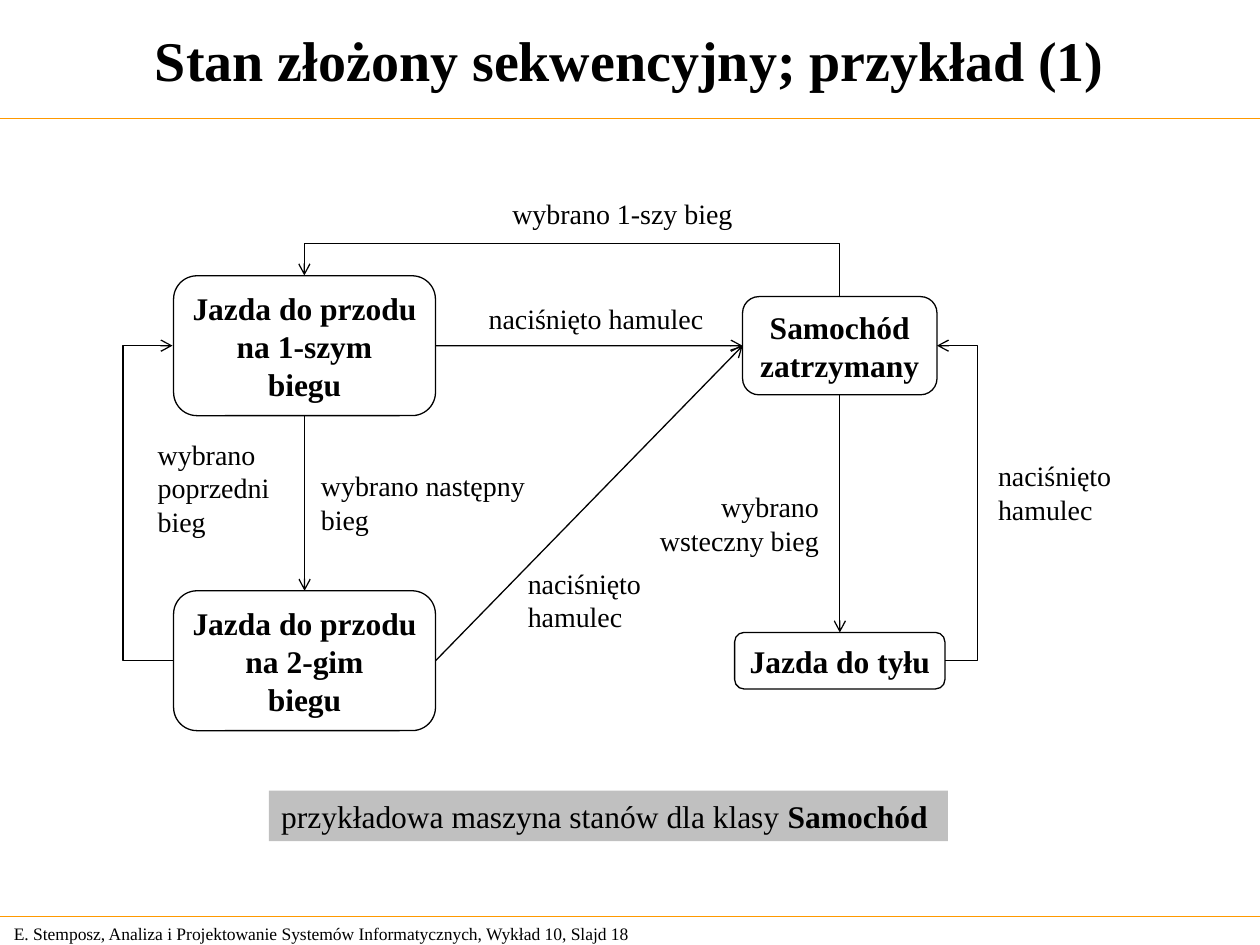
import lxml.etree
import pptx
import pptx.dml.color
import pptx.enum.shapes
import pptx.enum.text
import pptx.oxml.ns
import pptx.util

Cm = pptx.util.Cm
ALIGN = pptx.enum.text.PP_ALIGN
ANCHOR = pptx.enum.text.MSO_ANCHOR
SHAPE = pptx.enum.shapes.MSO_SHAPE
CONNECTOR = pptx.enum.shapes.MSO_CONNECTOR
qn = pptx.oxml.ns.qn
rgb = pptx.dml.color.RGBColor.from_string


def write(sp, text, size, bold=False, align=ALIGN.LEFT, anchor=ANCHOR.TOP):
    """Fill a shape with text, keeping a side margin only where the text is aligned."""
    tf = sp.text_frame
    tf.text = text
    tf.word_wrap = True
    tf.auto_size = pptx.enum.text.MSO_AUTO_SIZE.NONE
    tf.vertical_anchor = anchor
    tf.margin_left = Cm(0.25 if align == ALIGN.LEFT else 0)
    tf.margin_right = Cm(0.25 if align == ALIGN.RIGHT else 0)
    for p in tf.paragraphs:
        p.alignment = align
        for r in p.runs:
            r.font.name = "Times New Roman"
            r.font.size = pptx.util.Pt(size)
            r.font.bold = bold
            r.font.color.rgb = rgb("000000")


def add_line(kind, start, end, color="000000", arrow=True):
    line = s.shapes.add_connector(kind, *[Cm(v) for v in start + end])
    line.line.color.rgb = rgb(color)
    line.line.width = pptx.util.Pt(0.75)
    if arrow:
        ln = line.line._get_or_add_ln()
        lxml.etree.SubElement(ln, qn("a:tailEnd"), type="arrow")
    lxml.etree.SubElement(line._element.spPr, qn("a:effectLst"))
    return line


prs = pptx.Presentation()
prs.slide_width, prs.slide_height = Cm(25.4), Cm(19.05)
s = prs.slides.add_slide(prs.slide_layouts[5])

# Title, rules and footer
title = s.shapes.title
title.left, title.top, title.width, title.height = Cm(0.1), Cm(0.11), Cm(25.2), Cm(2.16)
write(title, "Stan złożony sekwencyjny; przykład (1)", 32, True, ALIGN.CENTER, ANCHOR.MIDDLE)
for y in (2.39, 18.48):
    add_line(CONNECTOR.STRAIGHT, (0, y), (25.4, y), "FF9900", arrow=False)
footer = s.shapes.add_textbox(Cm(0.03), Cm(18.48), Cm(13.31), Cm(0.69))
write(footer, "E. Stemposz, Analiza i Projektowanie Systemów Informatycznych, Wykład 10, Slajd 18",
      10, anchor=ANCHOR.MIDDLE)

# States
states = {}
for name, text, x, y, w, h in [
    ("first", "Jazda do przodu\nna 1-szym\nbiegu", 3.5, 5.56, 5.28, 2.82),
    ("second", "Jazda do przodu\nna 2-gim\nbiegu", 3.5, 11.91, 5.28, 2.82),
    ("reverse", "Jazda do tyłu", 14.81, 12.75, 4.24, 1.14),
    ("stopped", "Samochód\nzatrzymany", 14.97, 5.98, 3.92, 1.98),
]:
    sp = s.shapes.add_shape(SHAPE.ROUNDED_RECTANGLE, Cm(x), Cm(y), Cm(w), Cm(h))
    sp.shadow.inherit = False
    sp.fill.solid()
    sp.fill.fore_color.rgb = rgb("FFFFFF")
    sp.line.color.rgb = rgb("000000")
    sp.line.width = pptx.util.Pt(0.75)
    write(sp, text, 18, True, ALIGN.CENTER, ANCHOR.MIDDLE)
    states[name] = sp

# Straight transitions: state and side at each end
for source, source_side, target, target_side in [
    ("first", 3, "stopped", 1),
    ("first", 2, "second", 0),
    ("second", 3, "stopped", 1),
    ("stopped", 2, "reverse", 0),
]:
    line = add_line(CONNECTOR.STRAIGHT, (0, 0), (1, 1))
    line.begin_connect(states[source], source_side)
    line.end_connect(states[target], target_side)

# Elbow transitions: ends before rotation, bend as a share of the width, rotation
for start, end, bend, degrees in [
    ((11.32, 11.16), (11.74, 0.37), 2.52, 270),
    ((3.5, 13.32), (3.48, 6.97), 51, 0),
    ((19.05, 13.32), (18.89, 6.97), -4.12, 0),
]:
    line = add_line(CONNECTOR.ELBOW, start, end)
    spPr = line._element.spPr
    spPr.find(qn("a:xfrm")).set("rot", str(degrees * 60000))
    guides = spPr.find(qn("a:prstGeom")).find(qn("a:avLst"))
    lxml.etree.SubElement(guides, qn("a:gd"), name="adj1", fmla=f"val {round(bend * 100000)}")

# Transition labels
for text, x, y, w, h, align in [
    ("wybrano 1-szy bieg", 10.08, 3.84, 4.95, 0.94, ALIGN.LEFT),
    ("naciśnięto hamulec", 9.6, 5.95, 4.83, 0.94, ALIGN.LEFT),
    ("wybrano następny\nbieg", 6.22, 9.33, 4.62, 1.63, ALIGN.LEFT),
    ("wybrano\npoprzedni\nbieg", 2.93, 8.69, 2.74, 2.29, ALIGN.LEFT),
    ("naciśnięto\nhamulec", 10.39, 11.29, 2.79, 1.63, ALIGN.LEFT),
    ("naciśnięto\nhamulec", 19.87, 9.12, 2.79, 1.63, ALIGN.LEFT),
    ("wybrano\nwsteczny bieg", 13.05, 9.75, 3.71, 1.63, ALIGN.RIGHT),
]:
    write(s.shapes.add_textbox(Cm(x), Cm(y), Cm(w), Cm(h)), text, 16, align=align)

# Caption
caption = s.shapes.add_shape(SHAPE.RECTANGLE, Cm(5.42), Cm(15.94), Cm(13.69), Cm(1.02))
caption.shadow.inherit = False
caption.fill.solid()
caption.fill.fore_color.rgb = rgb("C0C0C0")
caption.line.fill.background()
write(caption, "przykładowa maszyna stanów dla klasy ", 18)
r = caption.text_frame.paragraphs[0].add_run()
r.text = "Samochód"
r.font.name = "Times New Roman"
r.font.size = pptx.util.Pt(18)
r.font.bold = True
r.font.color.rgb = rgb("000000")

prs.save("out.pptx")
